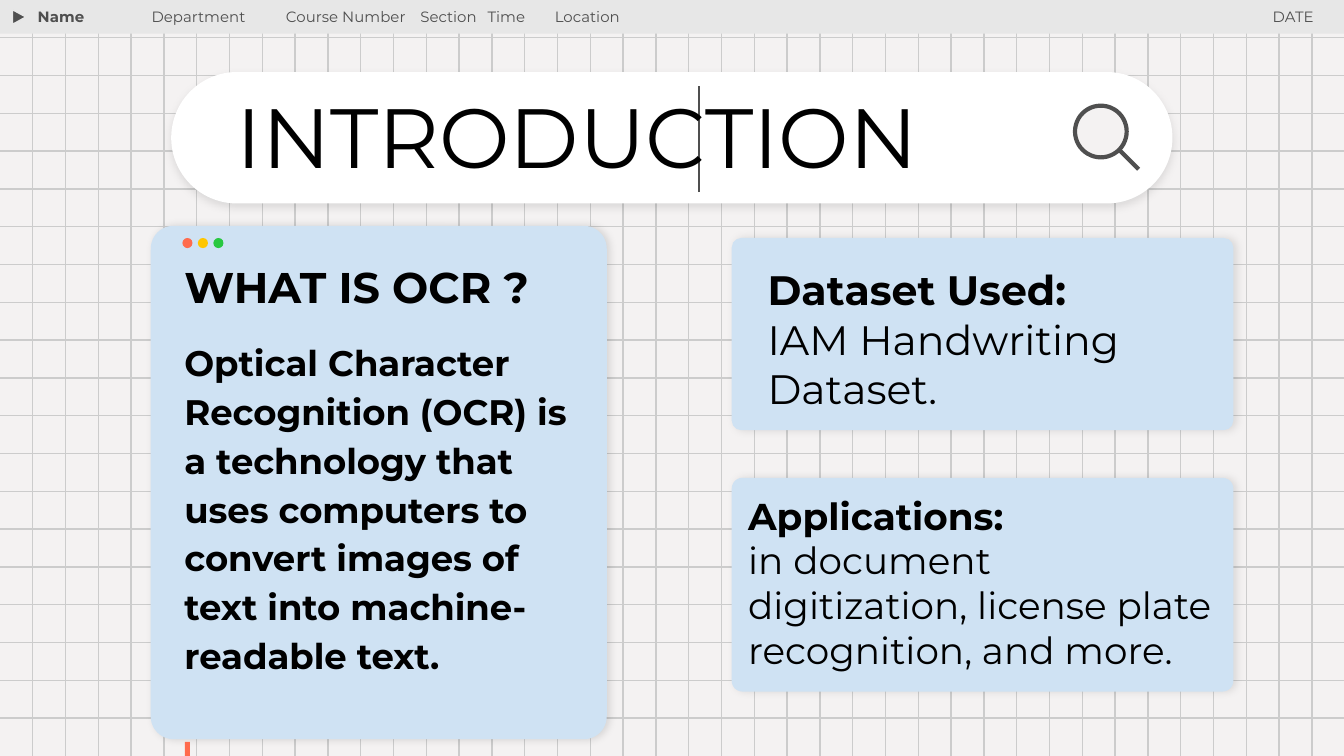
from lxml import etree
from pptx import Presentation
from pptx.dml.color import RGBColor
from pptx.enum import shapes, text
from pptx.oxml import ns
from pptx.util import Pt

# Content
TITLE = "INTRODUCTION"
NAME = "Name"
COURSE = ["Department", "Course Number", "Section", "Time", "Location"]
DATE = "DATE"
OCR = [
    ("WHAT IS OCR ?", dict(size="heading", bold=True)),
    ("Optical Character Recognition (OCR) is a technology that uses computers "
     "to convert images of text into machine-readable text.",
     dict(size="body", bold=True, spacing=1.15, before=12)),
]
DATASET = [("Dataset Used:", dict(size="dataset", bold=True)),
           ("IAM Handwriting Dataset.", dict(size="dataset"))]
APPLICATIONS = [
    ("Applications:", dict(size="applications", bold=True)),
    ("in document digitization, license plate recognition, and more.",
     dict(size="applications")),
]

# Theme
THEME = dict(
    font="Montserrat",
    color=dict(paper="F4F2F2", grid="CCCCCC", bar="E7E7E7", ink="4F4F4F",
               card="CFE2F3", white="FFFFFF", black="000000",
               red="FF6B4D", yellow="FFC600", green="28C840"),
    size=dict(title=45, heading=23, dataset=22, applications=20, body=19, header=8),
)

# Layout, in points
WIDTH, HEIGHT = 720, 405
COLUMN, ROW = 17.57, 20.25
COURSE_TABS = [58.5, 131, 169.5, 198]
INSET = 7.2
HEADER_TOP, HEADER_HEIGHT = -3, 34
RECT, ROUND, OVAL, TRIANGLE = (
    shapes.MSO_SHAPE.RECTANGLE, shapes.MSO_SHAPE.ROUNDED_RECTANGLE,
    shapes.MSO_SHAPE.OVAL, shapes.MSO_SHAPE.ISOSCELES_TRIANGLE)

deck = Presentation()
deck.slide_width, deck.slide_height = Pt(WIDTH), Pt(HEIGHT)
slide = deck.slides.add_slide(deck.slide_layouts.get_by_name("Comparison"))


def rgb(name):
    return RGBColor.from_string(THEME["color"][name])


def add_xml(parent, tag, **attributes):
    return etree.SubElement(parent, ns.qn(tag), attributes)


def draw(kind, box, fill, line=None, weight=0.75, radius=None):
    part = slide.shapes.add_shape(kind, *map(Pt, box))
    part.shadow.inherit = False
    part.fill.solid()
    part.fill.fore_color.rgb = rgb(fill)
    if line:
        part.line.color.rgb = rgb(line)
        part.line.width = Pt(weight)
    else:
        part.line.fill.background()
    if radius is not None:
        part.adjustments[0] = radius
    return part


def draw_card(box, fill, radius, opacity, angle=0):
    card = draw(ROUND, box, fill, radius=radius)
    effects = card._element.spPr.find(ns.qn("a:effectLst"))
    shadow = add_xml(effects, "a:outerShdw", blurRad=str(Pt(4.5)), dist=str(Pt(1.5)),
                     dir=str(angle * 60000), algn="bl", rotWithShape="0")
    tint = add_xml(shadow, "a:srgbClr", val=THEME["color"]["black"])
    add_xml(tint, "a:alpha", val=str(opacity * 1000))
    return card


def draw_line(x1, y1, x2, y2, color, weight=0.75):
    line = slide.shapes.add_connector(
        shapes.MSO_CONNECTOR.STRAIGHT, *map(Pt, (x1, y1, x2, y2)))
    line.line.color.rgb = rgb(color)
    line.line.width = Pt(weight)
    add_xml(line._element.spPr, "a:effectLst")


def write(part, words, size="body", bold=False, color="black", align="LEFT",
          spacing=1.0, before=0, tabs=(), anchor="TOP", new=True):
    """Write one paragraph; new=False adds it below the earlier ones."""
    frame = part.text_frame
    frame.word_wrap = True
    frame.auto_size = text.MSO_AUTO_SIZE.NONE
    frame.vertical_anchor = getattr(text.MSO_ANCHOR, anchor)
    frame.margin_left = frame.margin_right = Pt(INSET)
    frame.margin_top = frame.margin_bottom = Pt(INSET)
    paragraph = frame.paragraphs[0] if new else frame.add_paragraph()
    paragraph.alignment = getattr(text.PP_ALIGN, align)
    paragraph.line_spacing = spacing
    paragraph.space_before = Pt(before)
    run = paragraph.add_run()
    run.text = words
    run.font.name, run.font.bold = THEME["font"], bold
    run.font.size = Pt(THEME["size"][size])
    run.font.color.rgb = rgb(color)
    properties = paragraph._p.get_or_add_pPr()
    properties.set("marL", "0")
    properties.set("indent", "0")
    add_xml(properties, "a:buNone")
    if tabs:
        stops = add_xml(properties, "a:tabLst")
        for stop in tabs:
            add_xml(stops, "a:tab", pos=str(Pt(stop)), algn="l")


def write_all(part, paragraphs, **shared):
    for i, (words, look) in enumerate(paragraphs):
        write(part, words, new=i == 0, **look, **shared)


def place(index, box):
    """Move a placeholder to its box and in front of what is drawn so far."""
    part = slide.placeholders[index]
    part.left, part.top, part.width, part.height = map(Pt, box)
    slide.shapes._spTree.append(part._element)
    return part


# Grid paper
slide.background.fill.solid()
slide.background.fill.fore_color.rgb = rgb("paper")
for row in range(1, 20):
    draw_line(0, row * ROW, WIDTH, row * ROW, "grid")
for column in range(1, 41):
    draw_line(column * COLUMN, 0, column * COLUMN, HEIGHT, "grid")

# Header bar
draw(RECT, (0, 0, WIDTH, 18), "bar")
draw(TRIANGLE, (6.3, 5.5, 7.9, 7.2), "ink", line="bar").rotation = 90
header = dict(size="header", color="ink")
write(place(1, (13, HEADER_TOP, 92, HEADER_HEIGHT)), NAME, bold=True, **header)
write(place(3, (74, HEADER_TOP, 300, HEADER_HEIGHT)), "\t".join(COURSE),
      tabs=COURSE_TABS, **header)
write(place(4, (591, HEADER_TOP, 120, HEADER_HEIGHT)), DATE, align="RIGHT", **header)

# OCR window with its three buttons and cursor mark
draw_card((80.8, 121, 244.3, 275), "card", 0.05, 12)
for i, button in enumerate(("red", "yellow", "green")):
    draw(OVAL, (97.7 + i * 8.3, 127.5, 5.4, 5.4), button)
write_all(place(2, (91.6, 132.5, 222.5, 260)), OCR)
draw(RECT, (99, 397.5, 2.7, 7.5), "red")

# Search bar with title, caret and magnifier
draw_card((91.7, 38.6, 536.4, 70.4), "white", 0.5, 10, angle=90)
draw(OVAL, (575.9, 56.6, 27.7, 27.7), "paper", line="ink", weight=2.25)
draw_line(599.3, 80, 610, 90.7, "ink", 2.25)
draw_line(374.4, 103, 374.4, 46, "ink")
write(place(0, (119.6, 44, 391, 63.5)), TITLE, size="title", spacing=0.9)

# Dataset card
draw_card((392, 127.5, 268.7, 103), "card", 0.05, 11)
dataset = slide.shapes.add_textbox(*map(Pt, (404.2, 134.7, 244, 88.5)))
write_all(dataset, DATASET)

# Applications card
applications = draw_card((392, 256, 268.7, 114.5), "card", 0.05, 11)
write_all(applications, APPLICATIONS, anchor="MIDDLE")
applications.text_frame.margin_bottom = Pt(9.6)

deck.save("out.pptx")
